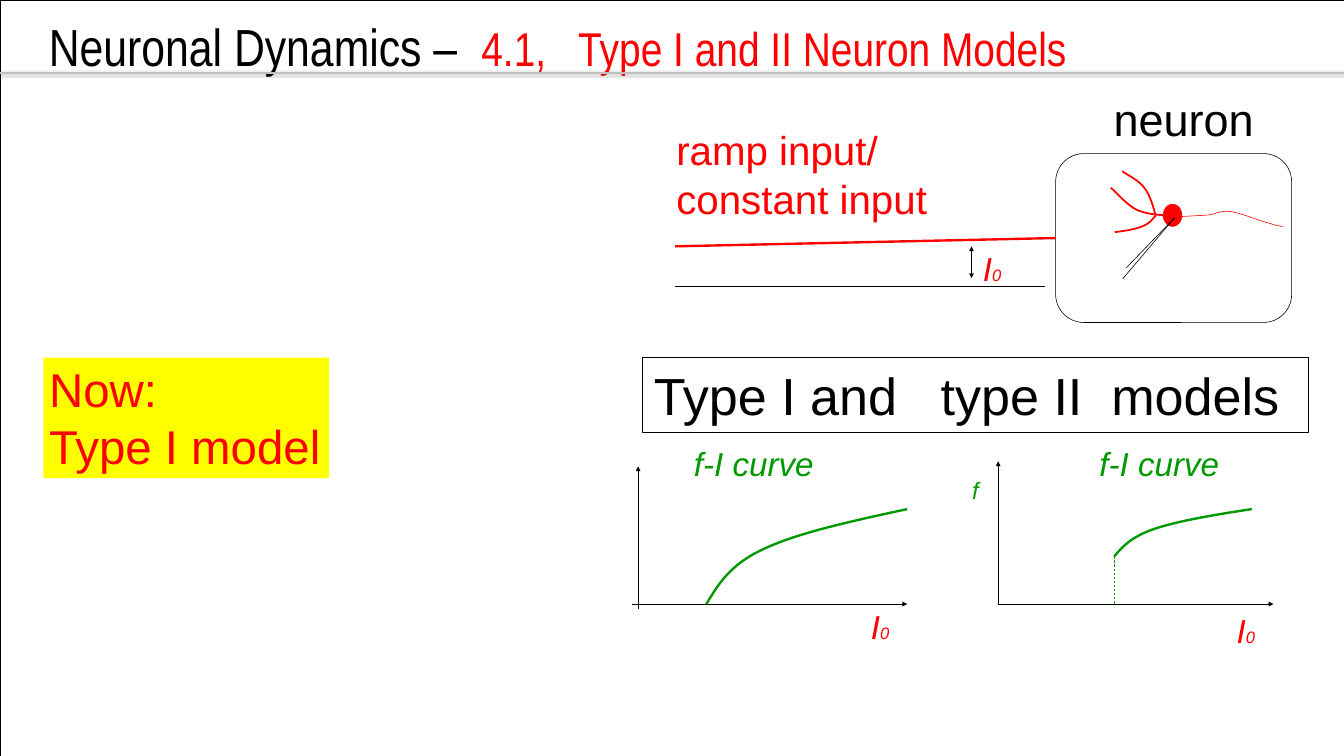
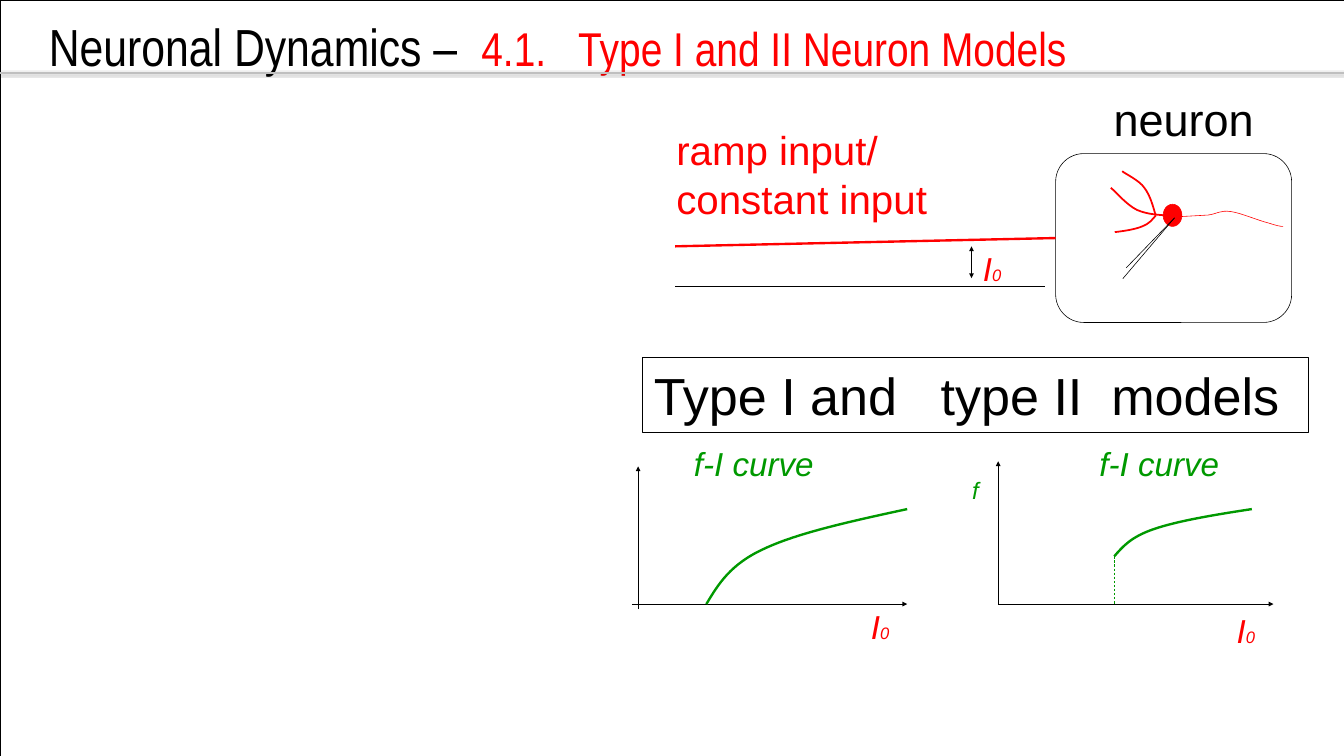
from dataclasses import dataclass
from typing import Any, Optional

import lxml.etree
import pptx
import pptx.dml.color
import pptx.enum.dml
import pptx.enum.shapes
import pptx.enum.text
import pptx.oxml.ns
import pptx.util

Pt = pptx.util.Pt
Point = tuple[float, float]
Shapes = Any

PAGE_WIDTH, PAGE_HEIGHT = 1701.36, 956.88
COLORS = {
    "ink": "000000",
    "input": "FF0000",
    "curve": "009900",
    "note": "FFFF00",
    "band": "BFBFBF",
}
THIN, DENDRITE, THICK = 0.75, 2.25, 3
AXIS_Y = 764.6
WIDE_INSET = (15.1, 7.9)
PLAIN_INSET = (7.2, 3.6)


@dataclass(frozen=True)
class Span:
    text: str
    size: float
    color: str
    font: str = "Arial"
    italic: bool = False


@dataclass(frozen=True)
class Caption:
    """Text in a box; lines holds one tuple of spans per paragraph."""
    box: tuple[float, float, float, float]
    lines: tuple[tuple[Span, ...], ...]
    inset: Point = WIDE_INSET
    wrap: bool = False
    grow: bool = True
    tabs: tuple[float, ...] = ()
    fill: Optional[str] = None
    border: Optional[str] = None


@dataclass(frozen=True)
class Stroke:
    start: Point
    end: Point
    color: str = "ink"
    width: float = THIN
    head: bool = False
    tail: bool = False
    dashed: bool = False


@dataclass(frozen=True)
class Curve:
    """A chain of cubic Bezier pieces: two control points and an end each."""
    start: Point
    pieces: tuple[tuple[Point, Point, Point], ...]
    color: str = "input"
    width: float = DENDRITE


def rgb(name: str) -> pptx.dml.color.RGBColor:
    return pptx.dml.color.RGBColor.from_string(COLORS[name])


def child(parent: Any, tag: str, **values: Any) -> Any:
    element = lxml.etree.SubElement(parent, pptx.oxml.ns.qn(tag))
    for key, value in values.items():
        element.set(key, str(value))
    return element


def paint(shape: Any, fill: Optional[str], line: Optional[str], width: float = THIN) -> None:
    shape.shadow.inherit = False
    if fill:
        shape.fill.solid()
        shape.fill.fore_color.rgb = rgb(fill)
    else:
        shape.fill.background()
    if line:
        shape.line.color.rgb = rgb(line)
        shape.line.width = Pt(width)
    else:
        shape.line.fill.background()


def add_preset(shapes: Shapes, kind: Any, box: tuple[float, float, float, float],
               fill: Optional[str], line: Optional[str]) -> Any:
    shape = shapes.add_shape(kind, *map(Pt, box))
    paint(shape, fill, line)
    return shape


def add_caption(shapes: Shapes, caption: Caption) -> None:
    if caption.fill or caption.border:
        box = add_preset(shapes, pptx.enum.shapes.MSO_SHAPE.RECTANGLE, caption.box,
                         caption.fill, caption.border)
    else:
        box = shapes.add_textbox(*map(Pt, caption.box))
    side, edge = map(Pt, caption.inset)
    sizing = pptx.enum.text.MSO_AUTO_SIZE
    frame_format = {
        "margin_left": side, "margin_right": side,
        "margin_top": edge, "margin_bottom": edge,
        "word_wrap": caption.wrap,
        "auto_size": sizing.SHAPE_TO_FIT_TEXT if caption.grow else sizing.NONE,
        "vertical_anchor": pptx.enum.text.MSO_ANCHOR.TOP,
    }
    for name, value in frame_format.items():
        setattr(box.text_frame, name, value)
    for index, line in enumerate(caption.lines):
        para = box.text_frame.add_paragraph() if index else box.text_frame.paragraphs[0]
        para.alignment = pptx.enum.text.PP_ALIGN.LEFT
        if caption.tabs:
            stops = child(para._p.get_or_add_pPr(), "a:tabLst")
            for stop in caption.tabs:
                child(stops, "a:tab", pos=int(Pt(stop)), algn="l")
        for span in line:
            run = para.add_run()
            run.text = span.text
            font_format = {"name": span.font, "size": Pt(span.size), "italic": span.italic}
            for name, value in font_format.items():
                setattr(run.font, name, value)
            run.font.color.rgb = rgb(span.color)


def add_stroke(shapes: Shapes, stroke: Stroke) -> Any:
    line = shapes.add_connector(pptx.enum.shapes.MSO_CONNECTOR.STRAIGHT,
                                *map(Pt, stroke.start + stroke.end))
    line.line.color.rgb = rgb(stroke.color)
    line.line.width = Pt(stroke.width)
    if stroke.dashed:
        line.line.dash_style = pptx.enum.dml.MSO_LINE.DASH
    for tag, wanted in (("a:headEnd", stroke.head), ("a:tailEnd", stroke.tail)):
        if wanted:
            child(line.line._get_or_add_ln(), tag, type="triangle")
    child(line._element.spPr, "a:effectLst")
    return line


def add_curve(shapes: Shapes, curve: Curve) -> None:
    """Build a freeform and bend every three of its segments into one Bezier."""
    builder = shapes.build_freeform(*map(Pt, curve.start))
    builder.add_line_segments([(Pt(x), Pt(y)) for piece in curve.pieces for x, y in piece],
                              close=False)
    shape = builder.convert_to_shape()
    outline = next(shape._element.iter(pptx.oxml.ns.qn("a:path")))
    segments = outline.findall(pptx.oxml.ns.qn("a:lnTo"))
    for index in range(0, len(segments), 3):
        bend = child(outline, "a:cubicBezTo")
        for segment in segments[index:index + 3]:
            bend.append(segment[0])
            outline.remove(segment)
    paint(shape, None, curve.color, curve.width)


def current_label(left: float, top: float) -> Caption:
    return Caption((left, top, 54, 66.2), ((
        Span("I", 42, "input", italic=True), Span("0", 21, "input", italic=True)),))


def curve_label(left: float) -> Caption:
    return Caption((left, 553.7, 183.6, 66.2),
                   ((Span("f-I curve", 42, "curve", italic=True),),))


DENDRITES = (
    Curve((1481.8, 272.9), (((1467.4, 272.2), (1452.2, 271.4), (1439.3, 265.7)),
                            ((1427, 259.9), (1411.9, 242.6), (1406.2, 237.6)))),
    Curve((1463, 272.9), (((1458.7, 277.9), (1454.4, 283.7), (1445.8, 286.6)),
                          ((1437.1, 290.2), (1424.2, 292.3), (1411.2, 293.8)))),
    Curve((1463, 272.9), (((1459.4, 259.9), (1455.8, 247), (1448.6, 237.6)),
                          ((1442.2, 228.2), (1424.9, 220.3), (1420.6, 216.7)))),
)
AXON = Curve((1491.8, 274.3), (
    ((1504.8, 273.6), (1517.8, 272.9), (1529.3, 272.2)),
    ((1540.8, 270.7), (1545.1, 265.7), (1558.1, 267.8)),
    ((1570.3, 269.3), (1593.4, 279.4), (1605.6, 282.2)),
    ((1616.4, 285.8), (1620.7, 286.6), (1624.3, 286.6))), width=THIN)
ELECTRODE_TIP = (1486.8, 275.8)
ELECTRODE = tuple(Stroke(start, ELECTRODE_TIP) for start in ((1421.3, 352.8), (1425.6, 339.1)))

INPUT_STROKES = (
    Stroke((854.6, 362.2), (1323.4, 362.2)),
    Stroke((1229.8, 311.8), (1229.8, 352.1), head=True, tail=True),
)
RAMP = Stroke((854.6, 311.8), (1336.3, 301.3), "input", THICK)
INPUT_CAPTIONS = (
    Caption((841, 151, 351.4, 139), ((Span("ramp input/", 51, "input"),),
                                     (Span("constant input", 51, "input"),))),
    current_label(1229, 306.7),
    Caption((1402.5, 112.6, 265, 76.3), ((Span("neuron", 57, "ink"),),), PLAIN_INSET, wrap=True),
)

PLOT_STROKES = (
    Stroke((799.9, AXIS_Y), (1148.4, AXIS_Y), tail=True),
    Stroke((807.8, 771.1), (807.8, 590.4), tail=True),
    Stroke((1263.6, AXIS_Y), (1612, AXIS_Y), tail=True),
    Stroke((1263.6, AXIS_Y), (1263.6, 583.9), tail=True),
    Stroke((1410.8, 704.2), (1410.8, AXIS_Y), "curve", dashed=True),
)
GAIN_CURVES = (
    Curve((894.2, AXIS_Y), (((909.4, 739.4), (924.5, 714.2), (967, 694.8)),
                            ((1009.4, 674.6), (1078.6, 659.5), (1148.4, 644.4))),
          "curve", THICK),
    Curve((1410.5, 704.2), (((1421.3, 691.9), (1431.4, 679.7), (1460.9, 669.6)),
                            ((1490.4, 659.5), (1537.2, 651.6), (1584.7, 644.4))),
          "curve", THICK),
)
PLOT_CAPTIONS = (
    Caption((812.6, 452.6, 843.1, 95), ((Span("Type I and\ttype II\tmodels", 66, "ink"),),),
            wrap=True, tabs=(363, 579), border="ink"),
    current_label(1087.2, 759.6),
    current_label(1550.2, AXIS_Y),
    Caption((1215.4, 594, 38.9, 51.8), ((Span("f", 30, "curve", italic=True),),)),
    curve_label(863.3),
    curve_label(1376.6),
)
NOW_NOTE = Caption((55, 452.6, 361.4, 152.6), ((Span("Now:", 60, "input"),),
                                               (Span("Type I model", 60, "input"),)),
                   PLAIN_INSET, fill="note")


def add_heading(shapes: Shapes, number: str) -> None:
    """Page frame, title and the shaded rule beneath it."""
    add_preset(shapes, pptx.enum.shapes.MSO_SHAPE.RECTANGLE,
               (0, 0, PAGE_WIDTH, PAGE_HEIGHT), None, "ink")
    add_caption(shapes, Caption((54.7, 14.4, 1642.3, 115.9), ((
        Span("Neuronal Dynamics –\t", 66, "ink", "Arial Narrow"),
        Span(f"{number}\tType I and II Neuron Models", 60, "input", "Arial Narrow")),),
        PLAIN_INSET, wrap=True, grow=False, tabs=(547.5, 670)))
    rule = add_stroke(shapes, Stroke((0, 92.2), (PAGE_WIDTH, 92.2), "band", 2))
    effects = rule._element.spPr.find(pptx.oxml.ns.qn("a:effectLst"))
    shadow = child(effects, "a:outerShdw", blurRad=int(Pt(3.1)), dist=int(Pt(1.6)),
                   dir=90 * 60000, rotWithShape=0)
    child(child(shadow, "a:srgbClr", val=COLORS["ink"]), "a:alpha", val=38000)


def add_neuron(shapes: Shapes) -> Any:
    """Draw the grouped neuron and return its enclosing frame."""
    parts = shapes.add_group_shape().shapes
    kinds = pptx.enum.shapes.MSO_SHAPE
    add_preset(parts, kinds.OVAL, (1472.4, 258.5, 23.8, 28.1), "input", "input")
    for curve in (AXON, *DENDRITES):
        add_curve(parts, curve)
    for stroke in ELECTRODE:
        add_stroke(parts, stroke)
    return add_preset(parts, kinds.ROUNDED_RECTANGLE, (1336.3, 194.4, 298.8, 213.8), None, "ink")


def add_page(deck: Any, number: str, extras: tuple[Caption, ...] = ()) -> None:
    shapes = deck.slides.add_slide(deck.slide_layouts[6]).shapes
    add_heading(shapes, number)
    neuron_frame = add_neuron(shapes)
    add_stroke(shapes, RAMP).end_connect(neuron_frame, 1)
    for stroke in INPUT_STROKES + PLOT_STROKES:
        add_stroke(shapes, stroke)
    for curve in GAIN_CURVES:
        add_curve(shapes, curve)
    for caption in INPUT_CAPTIONS + PLOT_CAPTIONS + extras:
        add_caption(shapes, caption)


def main() -> None:
    deck = pptx.Presentation()
    deck.slide_width, deck.slide_height = Pt(PAGE_WIDTH), Pt(PAGE_HEIGHT)
    add_page(deck, "4.1,", (NOW_NOTE,))
    add_page(deck, "4.1.")
    deck.save("out.pptx")


if __name__ == "__main__":
    main()
